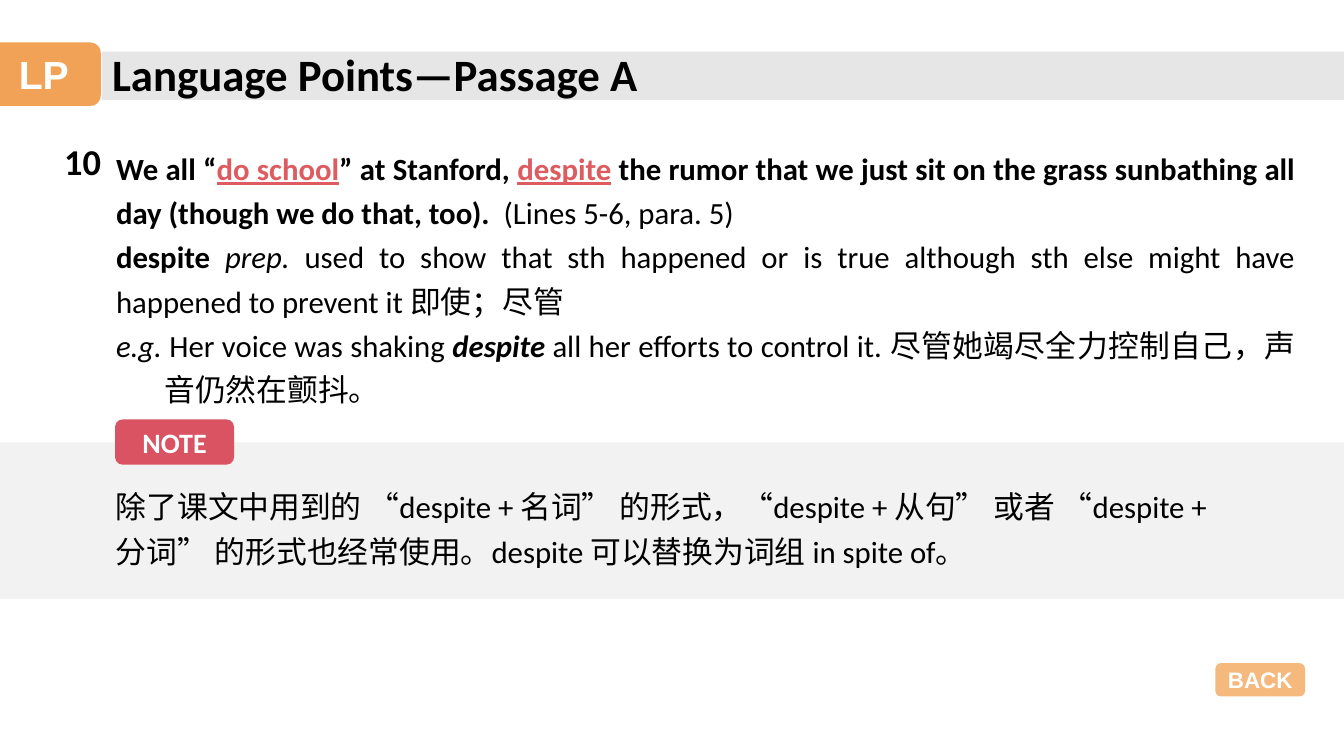
from dataclasses import dataclass

from lxml import etree
from pptx import Presentation
from pptx import util as u
from pptx.dml.color import RGBColor
from pptx.enum import shapes, text
from pptx.oxml import ns


@dataclass(frozen=True)
class Theme:
    ink: str = "000000"
    white: str = "FFFFFF"
    orange: str = "F19B48"
    red: str = "DA5362"
    keyword: str = "DD5C60"
    bar: str = "E7E6E6"
    panel: str = "F2F2F2"
    latin: str = "Calibri"
    label: str = "Arial"
    asian: str = "Noto Sans CJK SC"
    title: int = 32
    badge: int = 28
    number: int = 26
    body: int = 22
    note: int = 20
    button: int = 16


class LessonSlide:
    def __init__(self, prs, theme):
        self.theme = theme
        self.s = prs.slides.add_slide(prs.slide_layouts[1])

    def place(self, sp, box):
        sp.left, sp.top, sp.width, sp.height = map(u.Cm, box)

    def font(self, p, size, color, bold=None, name=None):
        f = p.font
        f.size, f.bold, f.name = u.Pt(size), bold, name or self.theme.latin
        f.color.rgb = RGBColor.from_string(color)
        ea = etree.Element(ns.qn("a:ea"), typeface=self.theme.asian)
        p._p.pPr.find(ns.qn("a:defRPr")).find(ns.qn("a:latin")).addnext(ea)

    def runs(self, p, parts):
        for content, style in parts:
            r = p.add_run()
            r.text = content
            if "b" in style:
                r.font.bold = True
            if "i" in style:
                r.font.italic = True
            if "k" in style:
                r.font.underline = True
                r.font.color.rgb = RGBColor.from_string(self.theme.keyword)

    def frame(self, sp):
        tf = sp.text_frame
        tf.word_wrap = True
        tf.auto_size = text.MSO_AUTO_SIZE.NONE
        tf.vertical_anchor = text.MSO_ANCHOR.TOP
        return tf

    def block(self, box, color, label=None, size=None, name=None,
              rounded=False, alpha=None):
        kind = shapes.MSO_SHAPE
        sp = self.s.shapes.add_shape(
            kind.ROUNDED_RECTANGLE if rounded else kind.RECTANGLE,
            *map(u.Cm, box))
        sp.shadow.inherit = False
        sp.line.fill.background()
        sp.fill.solid()
        sp.fill.fore_color.rgb = RGBColor.from_string(color)
        if alpha:
            clr = sp.fill._xPr.find(".//" + ns.qn("a:srgbClr"))
            etree.SubElement(clr, ns.qn("a:alpha"), val=str(alpha * 1000))
        if label:
            tf = self.frame(sp)
            tf.word_wrap = False
            tf.vertical_anchor = text.MSO_ANCHOR.MIDDLE
            p = tf.paragraphs[0]
            p.text = label
            p.alignment = text.PP_ALIGN.CENTER
            self.font(p, size, self.theme.white, True, name)

    def title(self, box, content):
        sp = self.s.shapes.title
        self.place(sp, box)
        p = self.frame(sp).paragraphs[0]
        p.text = content
        p.alignment = text.PP_ALIGN.LEFT
        self.font(p, self.theme.title, self.theme.ink, True)
        self.s.shapes._spTree.append(sp._element)

    def body(self, box, paragraphs):
        sp = self.s.placeholders[1]
        self.place(sp, box)
        tf = self.frame(sp)
        for i, (indent, parts) in enumerate(paragraphs):
            p = tf.add_paragraph() if i else tf.paragraphs[0]
            self.runs(p, parts)
            p.alignment = text.PP_ALIGN.JUSTIFY
            p.line_spacing = 1.2
            p.space_before = u.Pt(0)
            self.font(p, self.theme.body, self.theme.ink)
            pPr = p._p.pPr
            pPr.set("marL", str(u.Cm(indent)))
            pPr.set("indent", str(-u.Cm(indent)))
            pPr.find(ns.qn("a:defRPr")).addprevious(
                etree.Element(ns.qn("a:buNone")))

    def textbox(self, box, content, size, bold=False, spacing=None):
        sp = self.s.shapes.add_textbox(*map(u.Cm, box))
        p = self.frame(sp).paragraphs[0]
        p.text = content
        p.line_spacing = spacing
        self.font(p, size, self.theme.ink, bold)


def main():
    t = Theme()
    prs = Presentation()
    prs.slide_width, prs.slide_height = u.Cm(33.87), u.Cm(19.05)
    page = LessonSlide(prs, t)

    page.block((0, 11.15, 33.87, 3.94), t.panel)
    page.block((2.57, 1.3, 31.3, 1.22), t.bar)
    page.block((-0.33, 1.07, 2.87, 1.6), t.orange, "LP", t.badge, t.label,
               rounded=True, alpha=92)
    page.title((2.57, 1.04, 14.5, 1.63), "Language Points—Passage A")
    page.textbox((1.37, 3.38, 1.6, 1.37), "10", t.number, bold=True)
    page.body((2.67, 3.45, 30.23, 7.04), [
        (0, [("We all “", "b"), ("do school", "bk"),
             ("” at Stanford, ", "b"), ("despite", "bk"),
             (" the rumor that we just sit on the grass sunbathing all day "
              "(though we do that, too). ", "b"),
             (" (Lines 5-6, para. 5)", "")]),
        (0, [("despite ", "b"), ("prep. ", "i"),
             ("used to show that sth happened or is true although sth else "
              "might have happened to prevent it ", ""),
             ("即使；尽管", "")]),
        (1.22, [("e.g.", "i"), (" Her voice was shaking ", ""),
                ("despite", "bi"),
                (" all her efforts to control it. ", ""),
                ("尽管她竭尽全力控制自己，声音仍然在颤抖。", "")]),
    ])
    page.block((30.63, 16.71, 2.26, 0.84), t.orange, "BACK", t.button,
               t.label, rounded=True, alpha=71)
    page.block((2.9, 10.57, 3, 1.14), t.red, "NOTE", t.note, rounded=True)
    page.textbox(
        (2.67, 11.99, 28.93, 2.41),
        "除了课文中用到的 “despite + 名词” 的形式，“despite + 从句” 或者 "
        "“despite + 分词” 的形式也经常使用。despite 可以替换为词组 in spite of。",
        t.body, spacing=1.2)
    prs.save("out.pptx")


if __name__ == "__main__":
    main()
